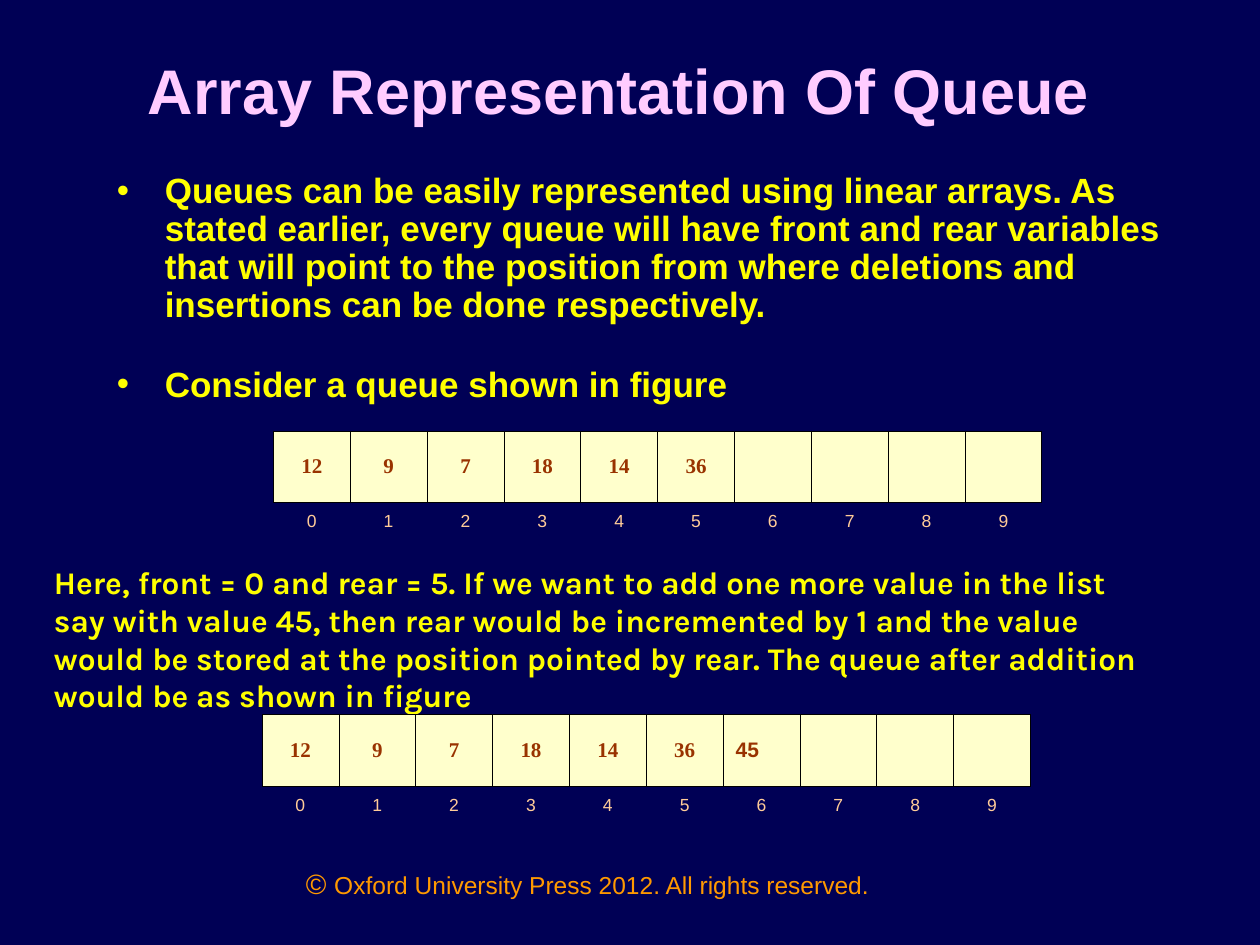
import pptx
import pptx.dml.color
import pptx.enum.text
import pptx.oxml
import pptx.oxml.ns
import pptx.util

Inches = pptx.util.Inches
Pt = pptx.util.Pt
RGBColor = pptx.dml.color.RGBColor
ALIGN = pptx.enum.text.PP_ALIGN
ANCHOR = pptx.enum.text.MSO_ANCHOR

NAVY = RGBColor(0x00, 0x00, 0x55)
PINK = RGBColor(0xFF, 0xCC, 0xFF)
YELLOW = RGBColor(0xFF, 0xFF, 0x00)
CREAM = RGBColor(0xFF, 0xFF, 0xCC)
BROWN = RGBColor(0x99, 0x33, 0x00)
PEACH = RGBColor(0xFF, 0xCC, 0x99)
ORANGE = RGBColor(0xFF, 0x99, 0x00)

SLOT_COUNT = 10
SLOT_WIDTH = 0.61
SLOT_HEIGHT = 0.57
LABEL_INSET = 0.1

TITLE = "Array Representation Of Queue"
POINTS = [
    "Queues can be easily represented using linear arrays. As stated earlier, "
    "every queue will have front and rear variables that will point to the "
    "position from where deletions and insertions can be done respectively.",
    "Consider a queue shown in figure",
]
EXPLANATION = (
    "Here, front = 0 and rear = 5. If we want to add one more value in the list "
    "say with value 45, then rear would be incremented by 1 and the value would "
    "be stored at the position pointed by rear. The queue after addition would "
    "be as shown in figure"
)
QUEUE = ["12", "9", "7", "18", "14", "36"]


def add_child(parent, tag, **attributes):
    child = pptx.oxml.parse_xml(f"<a:{tag} {pptx.oxml.ns.nsdecls('a')}/>")
    for name, value in attributes.items():
        child.set(name, str(value))
    parent.append(child)
    return child


def set_font(font, size, color, name="Arial", bold=False):
    font.size = Pt(size)
    font.name = name
    font.bold = bold
    font.color.rgb = color


def add_text_frame(slide, left, top, width, height):
    box = slide.shapes.add_textbox(Inches(left), Inches(top), Inches(width), Inches(height))
    box.text_frame.word_wrap = True
    return box.text_frame


def add_title(slide, left, top, width, height):
    frame = add_text_frame(slide, left, top, width, height)
    frame.vertical_anchor = ANCHOR.MIDDLE
    frame.margin_top = Inches(0.22)
    frame.margin_right = Inches(0.28)
    paragraph = frame.paragraphs[0]
    paragraph.text = TITLE
    paragraph.alignment = ALIGN.CENTER
    set_font(paragraph.font, 36, PINK, bold=True)


def add_points(slide, left, top, width, height):
    frame = add_text_frame(slide, left, top, width, height)
    for index, point in enumerate(POINTS):
        paragraph = frame.paragraphs[0] if index == 0 else frame.add_paragraph()
        paragraph.text = point
        paragraph.line_spacing = 0.9
        if index > 0:
            paragraph.space_before = Pt(24)
        # Hanging bullet
        properties = paragraph._p.get_or_add_pPr()
        properties.set("marL", str(Inches(0.38)))
        properties.set("indent", str(Inches(-0.38)))
        bullet_color = add_child(properties, "buClr")
        add_child(bullet_color, "srgbClr", val=YELLOW)
        add_child(properties, "buFont", typeface="Arial")
        add_child(properties, "buChar", char="•")
        set_font(paragraph.font, 20, YELLOW, bold=True)


def add_explanation(slide, left, top, width, height):
    paragraph = add_text_frame(slide, left, top, width, height).paragraphs[0]
    paragraph.text = EXPLANATION
    set_font(paragraph.font, 18, YELLOW, name="Karla", bold=True)


def style_slot(cell):
    cell.fill.solid()
    cell.fill.fore_color.rgb = CREAM
    cell.vertical_anchor = ANCHOR.MIDDLE
    properties = cell._tc.get_or_add_tcPr()
    # Borders come before the fill in the cell properties
    for position, side in enumerate(("lnL", "lnR", "lnT", "lnB")):
        border = add_child(properties, side, w=Pt(0.45))
        fill = add_child(border, "solidFill")
        add_child(fill, "srgbClr", val="000000")
        properties.insert(position, border)


def add_queue(slide, left, top, values, added=None):
    """Draw the array slots, with the index of each slot below it."""
    width = SLOT_COUNT * SLOT_WIDTH
    table = slide.shapes.add_table(
        1, SLOT_COUNT, Inches(left), Inches(top), Inches(width), Inches(SLOT_HEIGHT)
    ).table
    table.first_row = False
    table.horz_banding = False
    for column in table.columns:
        column.width = Inches(SLOT_WIDTH)
    for cell in table.rows[0].cells:
        style_slot(cell)
    for index, value in enumerate(values):
        paragraph = table.cell(0, index).text_frame.paragraphs[0]
        paragraph.text = value
        paragraph.alignment = ALIGN.CENTER
        set_font(paragraph.font, 12, BROWN, name="Times New Roman", bold=True)
    if added is not None:
        paragraph = table.cell(0, len(values)).text_frame.paragraphs[0]
        paragraph.text = added
        set_font(paragraph.font, 12, BROWN, bold=True)

    # Index labels, on a centred tab stop under each slot
    frame = add_text_frame(slide, left - 0.03, top + SLOT_HEIGHT + 0.01, width, 0.27)
    frame.vertical_anchor = ANCHOR.MIDDLE
    paragraph = frame.paragraphs[0]
    paragraph.text = "".join(f"\t{index}" for index in range(SLOT_COUNT))
    stops = add_child(paragraph._p.get_or_add_pPr(), "tabLst")
    for index in range(SLOT_COUNT):
        center = (index + 0.5) * SLOT_WIDTH + 0.03 - LABEL_INSET
        add_child(stops, "tab", pos=Inches(center), algn="ctr")
    set_font(paragraph.font, 10, PEACH)


def add_footer(slide, left, top, width, height):
    paragraph = add_text_frame(slide, left, top, width, height).paragraphs[0]
    paragraph.alignment = ALIGN.CENTER
    for text, size in (("© ", 16), ("Oxford University Press 2012. All rights reserved.", 14)):
        run = paragraph.add_run()
        run.text = text
        set_font(run.font, size, ORANGE)


def main():
    presentation = pptx.Presentation()
    presentation.slide_width = Inches(10)
    presentation.slide_height = Inches(7.5)
    slide = presentation.slides.add_slide(presentation.slide_layouts[6])
    slide.background.fill.solid()
    slide.background.fill.fore_color.rgb = NAVY

    add_footer(slide, 2, 6.83, 5.33, 0.52)
    add_title(slide, 0.5, 0, 9, 1.25)
    add_points(slide, 0.83, 1.33, 8.5, 2.04)
    add_queue(slide, 2.17, 3.42, QUEUE)
    add_explanation(slide, 0.33, 4.42, 8.92, 1.3)
    add_queue(slide, 2.08, 5.67, QUEUE, added="45")
    presentation.save("out.pptx")


if __name__ == "__main__":
    main()
